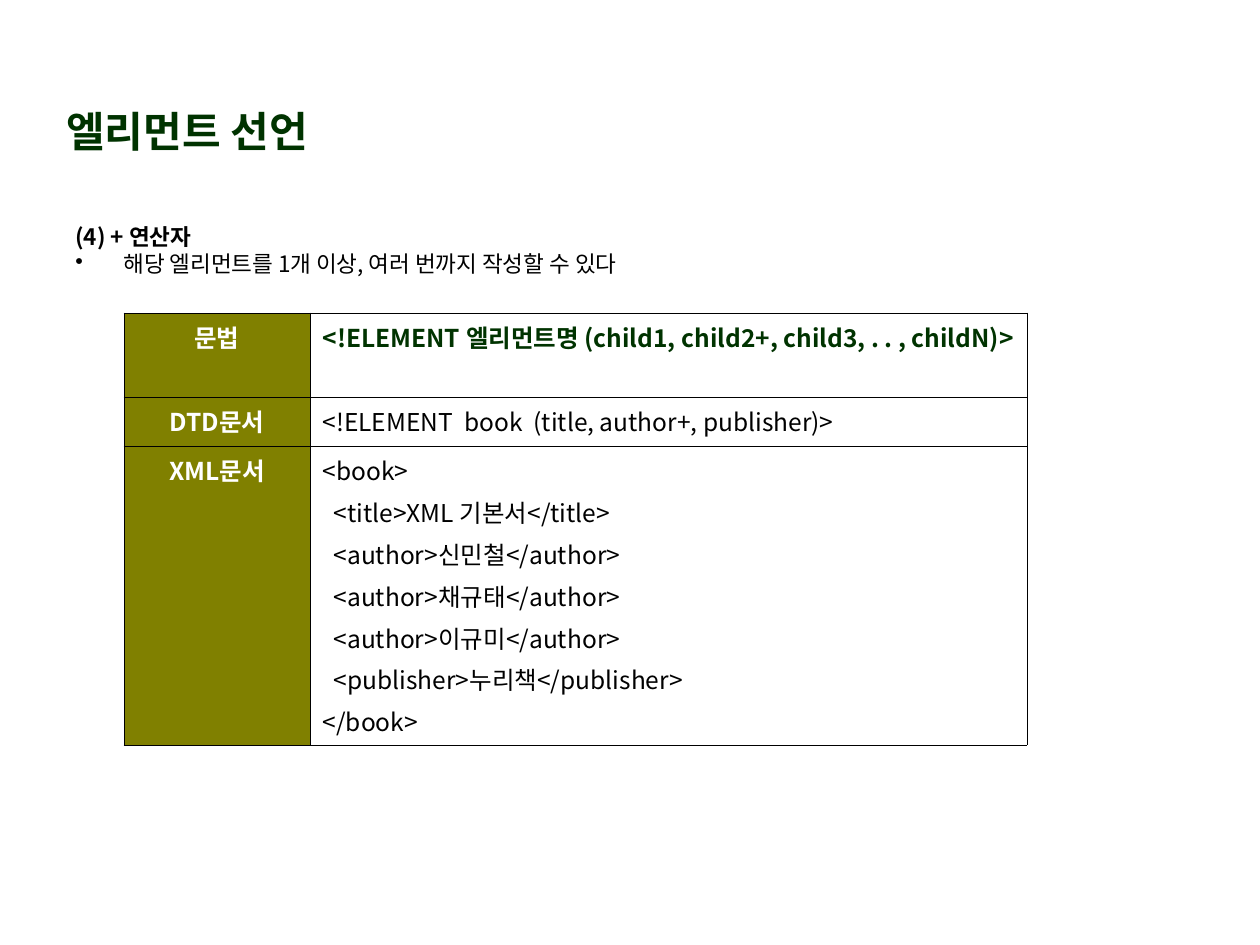
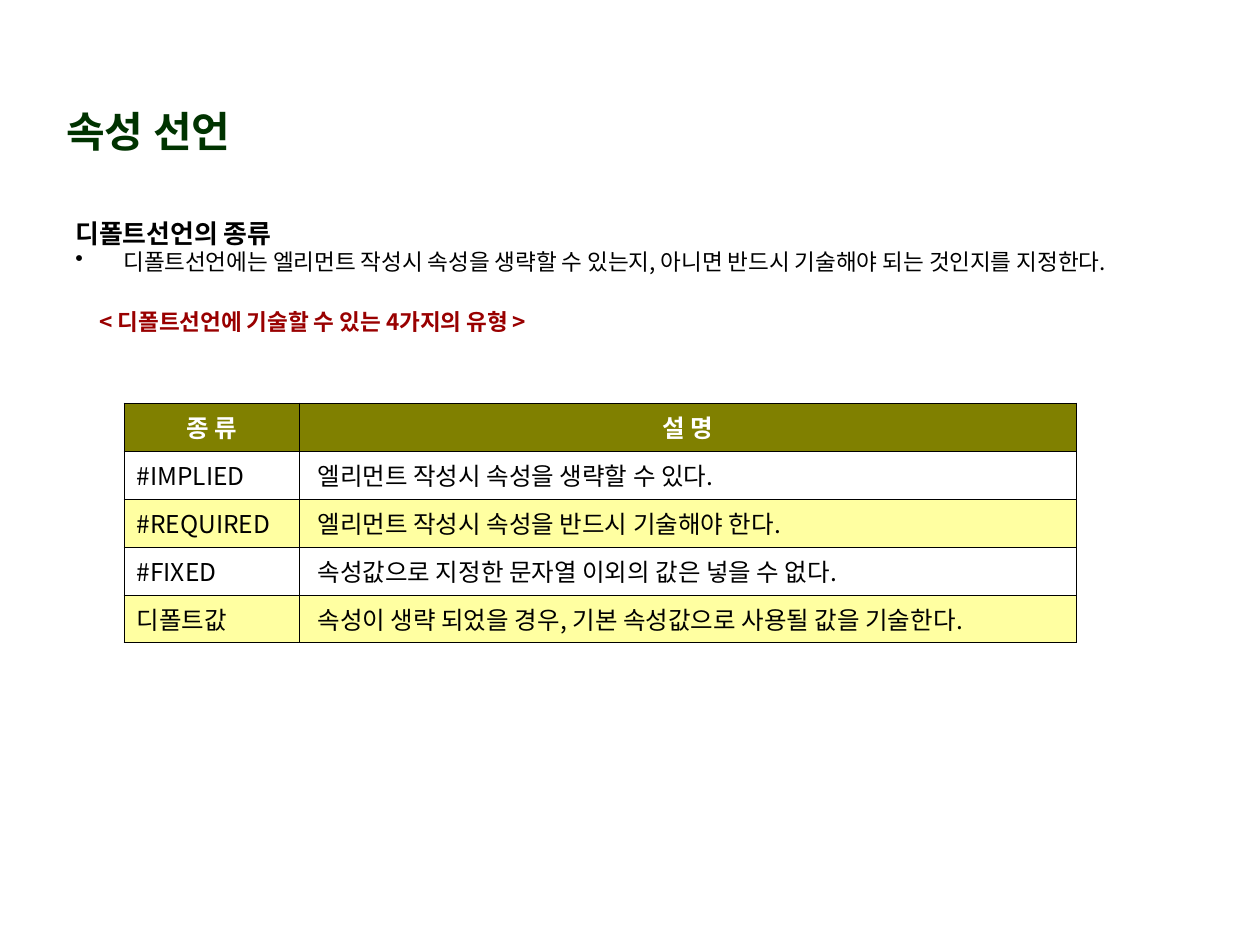
from lxml.etree import SubElement
from pptx import Presentation
from pptx.dml.color import RGBColor
from pptx.enum.text import MSO_ANCHOR, PP_ALIGN
from pptx.oxml.ns import qn
from pptx.util import Emu, Pt

FONT = "Noto Sans CJK KR"
GREEN, OLIVE, YELLOW, RED = "003300", "808000", "FFFFA1", "990000"
BLACK, WHITE = "000000", "FFFFFF"
HEADER = dict(color=WHITE, bold=True, align=PP_ALIGN.CENTER)
HANGING = 48


def px(n):
    return Emu(round(n * 914400 / 126))


def rgb(value):
    return RGBColor.from_string(value)


def write(p, text, size=14, color=BLACK, bold=False, align=PP_ALIGN.LEFT,
          before=0, spacing=None, indent=0, bullet=False):
    p.alignment = align
    p.space_before = Pt(before)
    if spacing:
        p.line_spacing = spacing
    pPr = p._p.get_or_add_pPr()
    pPr.set("marL", str(px(HANGING if bullet else indent)))
    pPr.set("indent", str(-px(HANGING) if bullet else 0))
    if bullet:
        SubElement(pPr, qn("a:buChar"), char="•")
    else:
        SubElement(pPr, qn("a:buNone"))
    r = p.add_run()
    r.text = text
    r.font.name = FONT
    r.font.size = Pt(size)
    r.font.bold = bold
    r.font.color.rgb = rgb(color)
    SubElement(r._r.get_or_add_rPr(), qn("a:ea"), typeface=FONT)


def fill_frame(tf, lines):
    """Write (text, format) pairs, one paragraph each."""
    tf.word_wrap = True
    for i, (text, fmt) in enumerate(lines):
        p = tf.add_paragraph() if i else tf.paragraphs[0]
        write(p, text, **fmt)


class Deck:
    """Shared style and the slide being built."""

    def __init__(self):
        self.prs = Presentation()
        self.prs.slide_width, self.prs.slide_height = px(1260), px(945)
        self.s = None

    def slide(self, title):
        self.s = self.prs.slides.add_slide(self.prs.slide_layouts[6])
        tf = self.text(54, 96, 556, 69,
                       [(title, dict(size=24, color=GREEN, bold=True))])
        tf.vertical_anchor = MSO_ANCHOR.MIDDLE

    def text(self, x, y, w, h, lines):
        tf = self.s.shapes.add_textbox(px(x), px(y), px(w), px(h)).text_frame
        fill_frame(tf, lines)
        return tf

    def table(self, x, y, widths, heights, rows):
        """Draw rows of (lines, fill, anchor) cells."""
        tbl = self.s.shapes.add_table(len(heights), len(widths), px(x), px(y),
                                      px(sum(widths)), px(sum(heights))).table
        tbl.first_row = tbl.horz_banding = False
        for col, w in zip(tbl.columns, widths):
            col.width = px(w)
        for row, h, cells in zip(tbl.rows, heights, rows):
            row.height = px(h)
            for cell, (lines, fill, anchor) in zip(row.cells, cells):
                fill_frame(cell.text_frame, lines)
                cell.vertical_anchor = anchor
                self.border(cell)
                cell.fill.solid()
                cell.fill.fore_color.rgb = rgb(fill)

    def border(self, cell):
        tcPr = cell._tc.get_or_add_tcPr()
        for side in ("lnL", "lnR", "lnT", "lnB"):
            ln = SubElement(tcPr, qn(f"a:{side}"), w=str(Pt(0.45)))
            SubElement(SubElement(ln, qn("a:solidFill")), qn("a:srgbClr"), val=BLACK)


def element_slide(deck):
    deck.slide("엘리먼트 선언")
    xml_lines = ["<book>", "<title>XML 기본서</title>", "<author>신민철</author>",
                 "<author>채규태</author>", "<author>이규미</author>",
                 "<publisher>누리책</publisher>", "</book>"]
    last = len(xml_lines) - 1
    book = [(text, dict(before=3.5, indent=11 if 0 < i < last else 0))
            for i, text in enumerate(xml_lines)]
    syntax = [("<!ELEMENT 엘리먼트명 (child1, child2+, child3, . . , childN)>",
               dict(color=GREEN, bold=True))]
    dtd = [("<!ELEMENT  book  (title, author+, publisher)>", {})]
    top = MSO_ANCHOR.TOP
    rows = [[([(label, HEADER)], OLIVE, top), (lines, WHITE, top)]
            for label, lines in [("문법", syntax), ("DTD문서", dtd), ("XML문서", book)]]
    deck.table(124, 313, [186, 717], [84, 49, 299], rows)
    deck.text(63, 217, 1133, 73, [
        ("(4) + 연산자", dict(size=12.9, bold=True)),
        ("해당 엘리먼트를 1개 이상, 여러 번까지 작성할 수 있다",
         dict(size=12.9, bullet=True))])


def attribute_slide(deck):
    deck.slide("속성 선언")
    deck.text(63, 220, 1133, 163, [
        ("디폴트선언의 종류", dict(size=14.8, bold=True, spacing=0.7)),
        ("디폴트선언에는 엘리먼트 작성시 속성을 생략할 수 있는지, "
         "아니면 반드시 기술해야 되는 것인지를 지정한다.",
         dict(size=12.9, bullet=True)),
        ("< 디폴트선언에 기술할 수 있는 4가지의 유형 >",
         dict(size=12.9, color=RED, bold=True, before=18.7, indent=24))])
    defaults = [
        ("#IMPLIED", "엘리먼트 작성시 속성을 생략할 수 있다."),
        ("#REQUIRED", "엘리먼트 작성시 속성을 반드시 기술해야 한다."),
        ("#FIXED", "속성값으로 지정한 문자열 이외의 값은 넣을 수 없다."),
        ("디폴트값", "속성이 생략 되었을 경우, 기본 속성값으로 사용될 값을 기술한다.")]
    rows = [[([(label, HEADER)], OLIVE, MSO_ANCHOR.TOP) for label in ("종 류", "설 명")]]
    for i, (kind, meaning) in enumerate(defaults):
        fill = YELLOW if i % 2 else WHITE
        rows.append([([(kind, {})], fill, MSO_ANCHOR.MIDDLE),
                     ([(meaning, dict(indent=6))], fill, MSO_ANCHOR.TOP)])
    deck.table(124, 403, [175, 777], [48] * len(rows), rows)


def main():
    deck = Deck()
    element_slide(deck)
    attribute_slide(deck)
    deck.prs.save("out.pptx")


if __name__ == "__main__":
    main()
